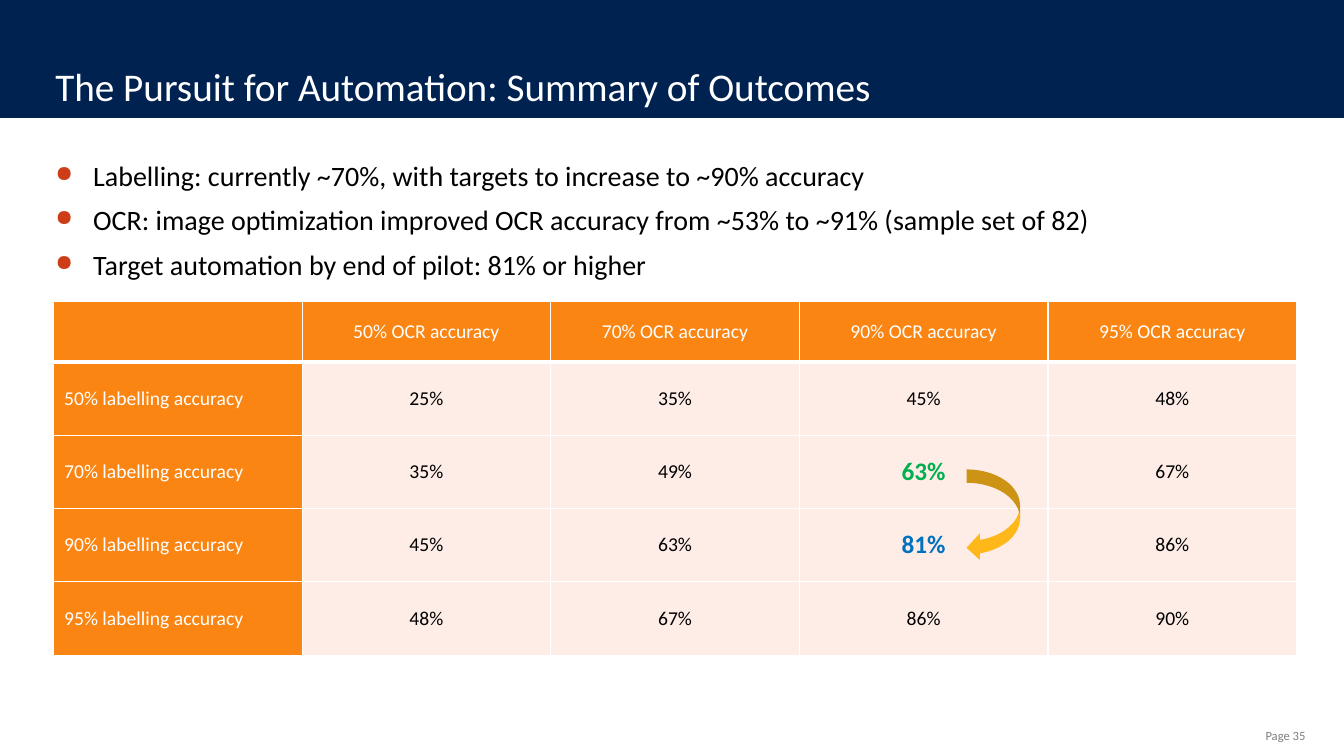
from collections import namedtuple
from dataclasses import dataclass

from lxml import etree
from pptx import Presentation
from pptx.dml.color import RGBColor
from pptx.enum.shapes import MSO_SHAPE as Preset
from pptx.enum.text import MSO_ANCHOR as Anchor, PP_ALIGN as Align
from pptx.oxml.ns import qn
from pptx.util import Pt

Box = namedtuple("Box", "left top width height")


@dataclass(frozen=True)
class Theme:
    """Colours, font and type sizes of the slide."""
    font: str = "Calibri"
    navy: str = "002251"
    white: str = "FFFFFF"
    black: str = "000000"
    grey: str = "7F7F7F"
    orange: str = "FA8512"
    blush: str = "FEEDE7"
    bullet: str = "CD3D17"
    green: str = "00B050"
    blue: str = "0070C0"
    gold: str = "FFB819"
    title_size: int = 28
    body_size: int = 20
    focus_size: int = 18
    cell_size: int = 14
    footer_size: int = 9


THEME = Theme()

BULLETS = [
    "Labelling: currently ~70%, with targets to increase to ~90% accuracy",
    "OCR: image optimization improved OCR accuracy from ~53% to ~91% (sample set of 82)",
    "Target automation by end of pilot: 81% or higher",
]
LEVELS = [50, 70, 90, 95]
OUTCOMES = [
    [25, 35, 45, 48],
    [35, 49, 63, 67],
    [45, 63, 81, 86],
    [48, 67, 86, 90],
]
FOCUS = {(2, 3): THEME.green, (3, 3): THEME.blue}


def points(box):
    """Return the four lengths of a box as Pt values."""
    return [Pt(length) for length in box]


def write(para, text, size, color, bold=False, align=Align.LEFT):
    """Put one formatted span of text in a paragraph."""
    para.alignment = align
    span = para.add_run()
    span.text = text
    span.font.name = THEME.font
    span.font.size = Pt(size)
    span.font.bold = bold
    span.font.color.rgb = RGBColor.from_string(color)


def add_frame(page, box, anchor=Anchor.TOP):
    """Add a wrapping text box and return its text frame."""
    frame = page.shapes.add_textbox(*points(box)).text_frame
    frame.word_wrap = True
    frame.vertical_anchor = anchor
    return frame


def add_filled(page, preset, box, color):
    """Add a preset shape with a plain fill and no outline."""
    shape = page.shapes.add_shape(preset, *points(box))
    shape.shadow.inherit = False
    shape.fill.solid()
    shape.fill.fore_color.rgb = RGBColor.from_string(color)
    shape.line.fill.background()


def add_header(page, box):
    """Draw the title band with the title near its lower edge."""
    add_filled(page, Preset.RECTANGLE, box, THEME.navy)
    title = Box(box.left + 32.4, box.top + box.height - 43.6, 791.3, 41)
    para = add_frame(page, title, Anchor.BOTTOM).paragraphs[0]
    write(para, "The Pursuit for Automation: Summary of Outcomes",
          THEME.title_size, THEME.white)


def add_bullet(para):
    """Give a paragraph a hanging round bullet."""
    props = para._p.get_or_add_pPr()
    props.set("marL", str(Pt(27)))
    props.set("indent", str(-Pt(27)))
    color = etree.SubElement(props, qn("a:buClr"))
    etree.SubElement(color, qn("a:srgbClr"), val=THEME.bullet)
    etree.SubElement(props, qn("a:buSzPct"), val="80000")
    etree.SubElement(props, qn("a:buChar"), char="●")


def add_bullets(page, box):
    """Write the list of findings."""
    frame = add_frame(page, box)
    for index, text in enumerate(BULLETS):
        para = frame.add_paragraph() if index else frame.paragraphs[0]
        add_bullet(para)
        para.space_after = Pt(8)
        write(para, text, THEME.body_size, THEME.black)


def add_borders(cell, bottom):
    """Draw white borders round a cell, the lower one in the given width."""
    props = cell._tc.get_or_add_tcPr()
    for side, width in (("L", 1), ("R", 1), ("T", 1), ("B", bottom)):
        line = etree.SubElement(props, qn(f"a:ln{side}"), w=str(Pt(width)))
        fill = etree.SubElement(line, qn("a:solidFill"))
        etree.SubElement(fill, qn("a:srgbClr"), val=THEME.white)


def fill_cell(cell, row, column, text):
    """Format one table cell by its place and write its text."""
    label = row == 0 or column == 0
    focus = FOCUS.get((row, column))
    add_borders(cell, bottom=1 if row else 3)
    cell.fill.solid()
    cell.fill.fore_color.rgb = RGBColor.from_string(
        THEME.orange if label else THEME.blush)
    cell.vertical_anchor = Anchor.MIDDLE
    cell.margin_left = cell.margin_right = Pt(7.6)
    cell.margin_top = cell.margin_bottom = Pt(3)
    write(cell.text_frame.paragraphs[0], text,
          THEME.focus_size if focus else THEME.cell_size,
          focus or (THEME.white if label else THEME.black),
          bold=bool(focus),
          align=Align.CENTER if column else Align.LEFT)


def add_outcomes(page, box):
    """Draw the accuracy table and the arrow between its two focus cells."""
    rows = [[""] + [f"{level}% OCR accuracy" for level in LEVELS]]
    for level, values in zip(LEVELS, OUTCOMES):
        rows.append([f"{level}% labelling accuracy"]
                    + [f"{value}%" for value in values])
    head_height = 43.2
    row_height = (box.height - head_height) / len(LEVELS)
    column_width = box.width / len(rows[0])
    table = page.shapes.add_table(len(rows), len(rows[0]), *points(box)).table
    table.first_row = table.horz_banding = False
    for column in table.columns:
        column.width = Pt(column_width)
    for row, texts in enumerate(rows):
        table.rows[row].height = Pt(row_height if row else head_height)
        for column, text in enumerate(texts):
            fill_cell(table.cell(row, column), row, column, text)
    middle = box.top + head_height + 2 * row_height
    arrow = Box(box.left + 4 * column_width - 58.2, middle - 28, 38.2, 65.5)
    add_filled(page, Preset.CURVED_LEFT_ARROW, arrow, THEME.gold)


def add_footer(page, box):
    """Write the page number."""
    write(add_frame(page, box).paragraphs[0], "Page 35",
          THEME.footer_size, THEME.grey, align=Align.RIGHT)


def main():
    """Build the slide and save it."""
    deck = Presentation()
    deck.slide_width, deck.slide_height = Pt(960), Pt(540)
    page = deck.slides.add_slide(deck.slide_layouts[6])
    add_header(page, Box(0, 0, 960, 84.2))
    add_footer(page, Box(835.9, 516.2, 103.7, 18))
    add_bullets(page, Box(32.4, 109.4, 887, 105.8))
    add_outcomes(page, Box(38.2, 215.3, 888, 252.8))
    deck.save("out.pptx")


if __name__ == "__main__":
    main()
